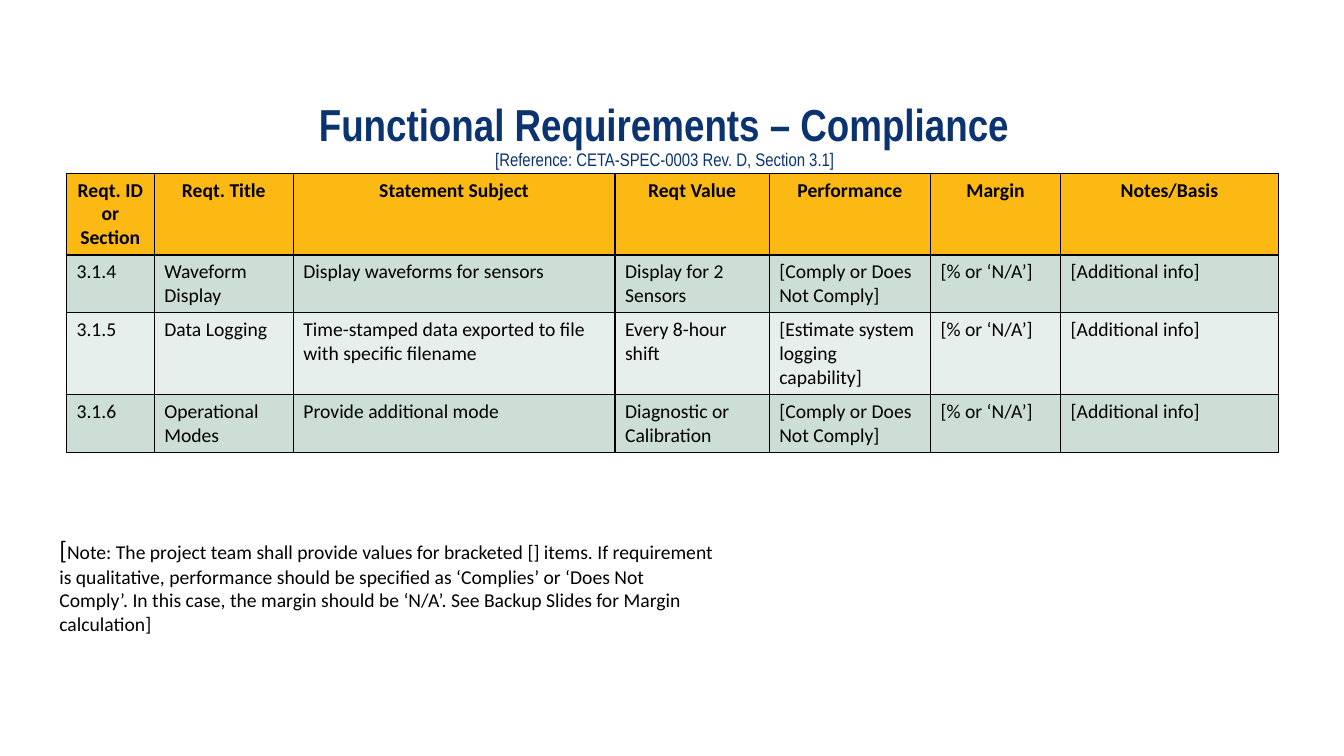
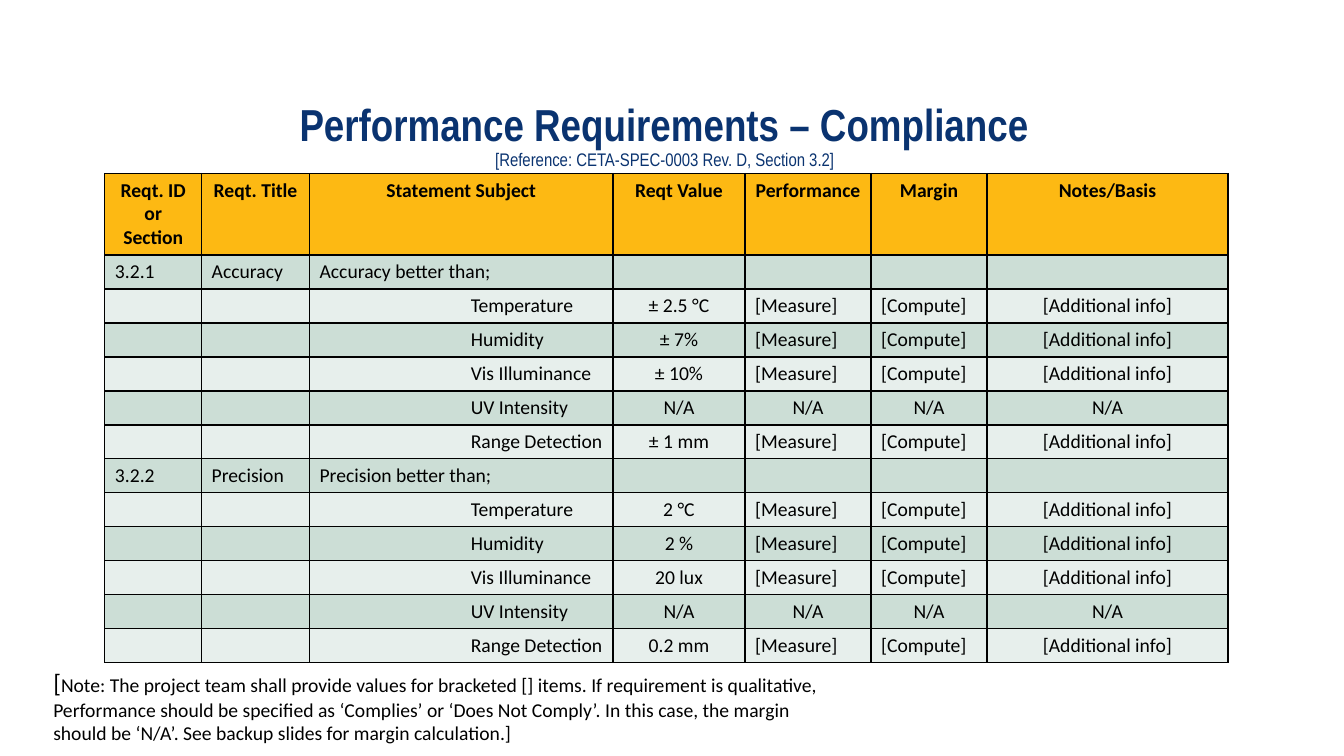
"""Build two requirement compliance slides, each with a title, a table and a note."""
from lxml.etree import SubElement
from pptx import Presentation
from pptx.dml.color import RGBColor
from pptx.enum.text import MSO_ANCHOR, MSO_AUTO_SIZE, PP_ALIGN
from pptx.oxml.ns import qn
from pptx.util import Pt

PX = 9144
NAVY, BLACK, GOLD = "0A3370", "000000", "FDB913"
BANDS = ["CCDED6", "E7EFEC"]
TITLE_FONT, BODY_FONT = "Arial Narrow", "Calibri"
TITLE_BOX = (84, 96, 1150, 79)
READING_INDENT = 150
SUBJECT_COLUMN = 2

HEADERS = ["Reqt. ID or Section", "Reqt. Title", "Statement Subject", "Reqt Value",
           "Performance", "Margin", "Notes/Basis"]
COMPLY, MARGIN, INFO = "[Comply or Does Not Comply]", "[% or ‘N/A’]", "[Additional info]"
NOT_APPLICABLE = "N/A"

FUNCTIONAL_ROWS = [
    ["3.1.4", "Waveform Display", "Display waveforms for sensors",
     "Display for 2 Sensors", COMPLY, MARGIN, INFO],
    ["3.1.5", "Data Logging", "Time-stamped data exported to file with specific filename",
     "Every 8-hour shift", "[Estimate system logging capability]", MARGIN, INFO],
    ["3.1.6", "Operational Modes", "Provide additional mode",
     "Diagnostic or Calibration", COMPLY, MARGIN, INFO],
]

READINGS = ["Temperature", "Humidity", "Vis Illuminance", "UV Intensity", "Range Detection"]
PERFORMANCE_GROUPS = [
    ("3.2.1", "Accuracy", ["± 2.5 °C", "± 7%", "± 10%", NOT_APPLICABLE, "± 1 mm"]),
    ("3.2.2", "Precision", ["2 °C", "2 %", "20 lux", NOT_APPLICABLE, "0.2 mm"]),
]


def performance_rows():
    rows = []
    for section, title, values in PERFORMANCE_GROUPS:
        rows.append([section, title, f"{title} better than;", "", "", "", ""])
        for reading, value in zip(READINGS, values):
            answers = ["[Measure]", "[Compute]", INFO]
            if value == NOT_APPLICABLE:
                answers = [NOT_APPLICABLE] * 3
            rows.append(["", "", reading, value, *answers])
    return rows


SLIDES = [
    {
        "title": "Functional Requirements – Compliance",
        "reference": "[Reference: CETA-SPEC-0003 Rev. D, Section 3.1]",
        "table_corner": (66, 172),
        "columns": [87, 138, 319, 153, 160, 129, 216],
        "row_heights": [81, 57, 81, 57],
        "rows": FUNCTIONAL_ROWS,
        "centered_columns": [],
        "note_box": (49, 525, 671, 111),
        "note": "Note: The project team shall provide values for bracketed [] items. "
                "If requirement is qualitative, performance should be specified as "
                "‘Complies’ or ‘Does Not Comply’. In this case, the margin should be "
                "‘N/A’. See Backup Slides for Margin calculation]",
    },
    {
        "title": "Performance Requirements – Compliance",
        "reference": "[Reference: CETA-SPEC-0003 Rev. D, Section 3.2]",
        "table_corner": (104, 172),
        "columns": [96, 107, 301, 131, 125, 115, 239],
        "row_heights": [81] + [33] * 12,
        "rows": performance_rows(),
        "centered_columns": [3, 6],
        "note_box": (43, 657, 799, 88),
        "note": "Note: The project team shall provide values for bracketed [] items. "
                "If requirement is qualitative, Performance should be specified as "
                "‘Complies’ or ‘Does Not Comply’. In this case, the margin should be "
                "‘N/A’. See backup slides for margin calculation.]",
    },
]


def color(value):
    return RGBColor.from_string(value)


def emu(lengths):
    return [length * PX for length in lengths]


def style_font(font, name, size, shade, bold=False):
    font.name, font.size, font.bold = name, Pt(size), bold
    font.color.rgb = color(shade)


def add_title(slide, title, reference):
    shape = slide.shapes.title
    shape.left, shape.top, shape.width, shape.height = emu(TITLE_BOX)
    frame = shape.text_frame
    frame.auto_size = MSO_AUTO_SIZE.NONE
    frame.vertical_anchor = MSO_ANCHOR.MIDDLE
    paragraph = frame.paragraphs[0]
    paragraph.alignment = PP_ALIGN.CENTER
    paragraph.line_spacing = 0.9
    style_font(paragraph.font, TITLE_FONT, 32, NAVY, True)
    paragraph.add_run().text = title
    paragraph.add_line_break()
    run = paragraph.add_run()
    run.text = reference
    run.font.size, run.font.bold = Pt(13), False


def add_borders(cell):
    properties = cell._tc.get_or_add_tcPr()
    for side in ("lnL", "lnR", "lnT", "lnB"):
        line = SubElement(properties, qn(f"a:{side}"), w=str(Pt(1)))
        fill = SubElement(line, qn("a:solidFill"))
        SubElement(fill, qn("a:srgbClr"), val=BLACK)


def fill_cell(cell, text, fill, bold, centered, indent):
    add_borders(cell)
    cell.fill.solid()
    cell.fill.fore_color.rgb = color(fill)
    cell.text = text
    paragraph = cell.text_frame.paragraphs[0]
    paragraph.alignment = PP_ALIGN.CENTER if centered else PP_ALIGN.LEFT
    style_font(paragraph.font, BODY_FONT, 14, BLACK, bold)
    if indent:
        properties = paragraph._p.get_or_add_pPr()
        properties.set("marL", str(indent * PX))
        properties.set("indent", "0")


def add_requirements(slide, content):
    columns, heights = content["columns"], content["row_heights"]
    box = emu((*content["table_corner"], sum(columns), sum(heights)))
    table = slide.shapes.add_table(len(heights), len(columns), *box).table
    table.first_row = table.horz_banding = False
    for column, width in zip(table.columns, columns):
        column.width = width * PX
    for row, height in zip(table.rows, heights):
        row.height = height * PX
    for row_index, texts in enumerate([HEADERS] + content["rows"]):
        header = row_index == 0
        fill = GOLD if header else BANDS[(row_index - 1) % 2]
        for column_index, text in enumerate(texts):
            centered = (header or text == NOT_APPLICABLE
                        or column_index in content["centered_columns"])
            is_reading = column_index == SUBJECT_COLUMN and not texts[0]
            fill_cell(table.cell(row_index, column_index), text, fill, header, centered,
                      READING_INDENT if is_reading else 0)


def add_note(slide, box, note):
    frame = slide.shapes.add_textbox(*emu(box)).text_frame
    frame.word_wrap = True
    frame.auto_size = MSO_AUTO_SIZE.SHAPE_TO_FIT_TEXT
    paragraph = frame.paragraphs[0]
    style_font(paragraph.font, BODY_FONT, 14, BLACK)
    bracket = paragraph.add_run()
    bracket.text = "["
    bracket.font.size = Pt(18)
    paragraph.add_run().text = note


def main():
    presentation = Presentation()
    presentation.slide_width, presentation.slide_height = emu((1333, 750))
    for content in SLIDES:
        slide = presentation.slides.add_slide(presentation.slide_layouts[5])
        add_title(slide, content["title"], content["reference"])
        add_requirements(slide, content)
        add_note(slide, content["note_box"], content["note"])
    presentation.save("out.pptx")


if __name__ == "__main__":
    main()
